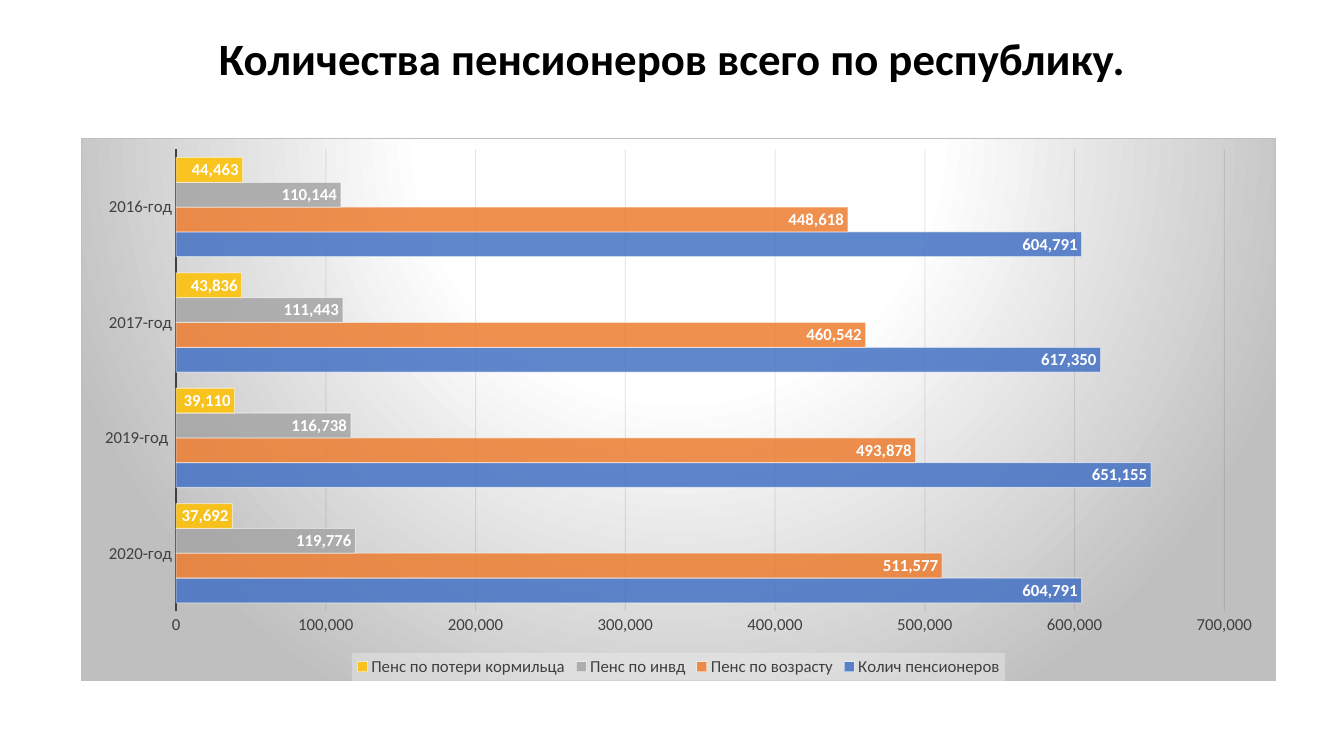
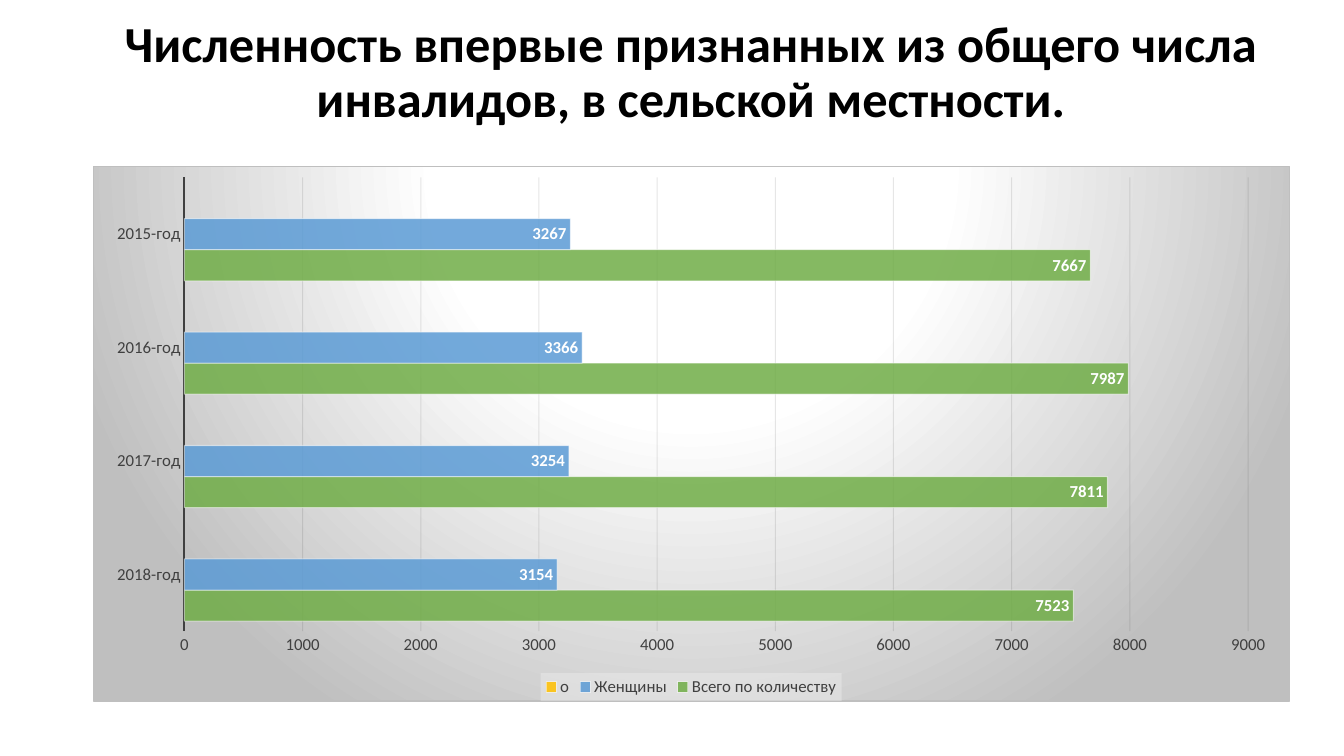
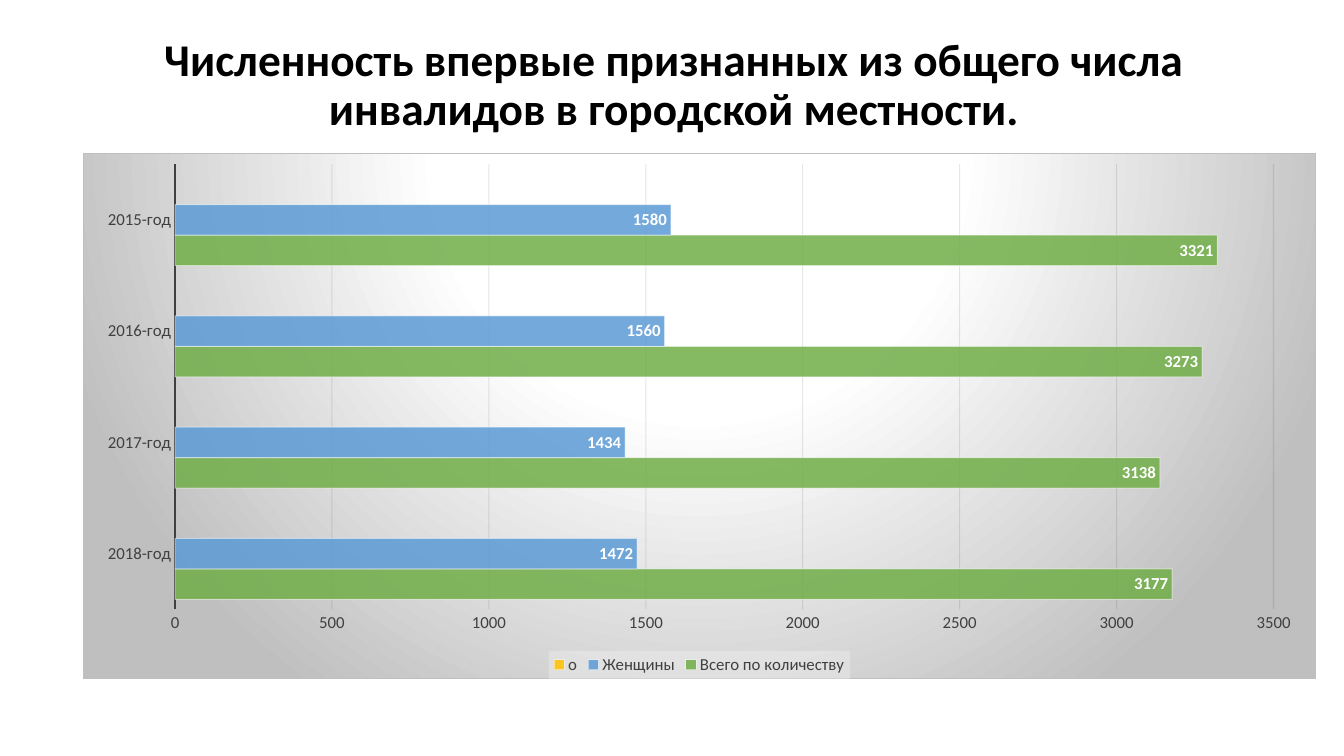
from pptx import Presentation
from pptx.chart.data import CategoryChartData
from pptx.dml.color import RGBColor
from pptx.enum.chart import (
    XL_CHART_TYPE as ChartType,
    XL_LABEL_POSITION as LabelPosition,
    XL_LEGEND_POSITION as LegendPosition,
    XL_TICK_MARK as TickMark,
)
from pptx.enum.text import MSO_ANCHOR, MSO_AUTO_SIZE, PP_ALIGN
from pptx.oxml import parse_xml
from pptx.oxml.ns import nsdecls
from pptx.util import Pt

PX = 9144  # 100 px to the inch
SLIDE_SIZE = (1333, 750)
TITLE_ONLY = 5
FONT = "Calibri"
COLORS = {
    "black": "000000",
    "white": "FFFFFF",
    "text": "404040",
    "grid": "0D0D0D",
    "edge": "BFBFBF",
    "legend": "F2F2F2",
    "blue": "4472C4",
    "orange": "ED7D31",
    "gray": "A5A5A5",
    "gold": "FFC000",
    "green": "70AD47",
    "sky": "5B9BD5",
}
OPACITY = {
    ".//c:ser/c:spPr/a:solidFill/a:srgbClr": 85,
    ".//c:ser/c:spPr/a:ln/a:solidFill/a:srgbClr": 50,
    ".//c:majorGridlines/c:spPr/a:ln/a:solidFill/a:srgbClr": 10,
}
YEARS = ["2018-год", "2017-год", "2016-год", "2015-год"]
NO_VALUES = [None] * len(YEARS)

SLIDES = [
    {
        "title": "Количества пенсионеров всего по республику.",
        "title_size": 32,
        "title_box": (92, 26, 1150, 69),
        "chart_box": (80, 137, 1186, 539),
        "categories": ["2020-год", "2019-год ", "2017-год", "2016-год"],
        "format": "#,##0",
        "scale": (700000, 100000),
        "series": [
            ("Колич пенсионеров", "blue", [604791, 651155, 617350, 604791]),
            ("Пенс по возрасту", "orange", [511577, 493878, 460542, 448618]),
            ("Пенс по инвд", "gray", [119776, 116738, 111443, 110144]),
            ("Пенс по потери кормильца", "gold", [37692, 39110, 43836, 44463]),
        ],
    },
    {
        "title": "Численность впервые признанных из общего числа инвалидов, в сельской местности.",
        "title_size": 36,
        "title_box": (92, 0, 1187, 146),
        "chart_box": (92, 165, 1187, 531),
        "categories": YEARS,
        "format": "General",
        "scale": (9000, 1000),
        "series": [
            ("Всего по количеству", "green", [7523, 7811, 7987, 7667]),
            ("Женщины", "sky", [3154, 3254, 3366, 3267]),
            ("о", "gold", NO_VALUES),
        ],
    },
    {
        "title": "Численность впервые признанных из общего числа инвалидов в городской местности.",
        "title_size": 32.4,
        "title_box": (57, 32, 1223, 108),
        "chart_box": (82, 152, 1223, 522),
        "categories": YEARS,
        "format": "General",
        "scale": (3500, 500),
        "series": [
            ("Всего по количеству", "green", [3177, 3138, 3273, 3321]),
            ("Женщины", "sky", [1472, 1434, 1560, 1580]),
            ("о", "gold", NO_VALUES),
        ],
    },
]


def color(name):
    return RGBColor.from_string(COLORS[name])


def emu(lengths):
    return [length * PX for length in lengths]


def style_font(font, size, color_name, bold=False):
    font.name = FONT
    font.size = Pt(size)
    font.bold = bold
    font.color.rgb = color(color_name)


def style_line(line, color_name, width):
    line.color.rgb = color(color_name)
    line.width = Pt(width)


def add_title(slide, content):
    title = slide.shapes.title
    title.left, title.top, title.width, title.height = emu(content["title_box"])
    frame = title.text_frame
    frame.word_wrap = True
    frame.auto_size = MSO_AUTO_SIZE.NONE
    frame.vertical_anchor = MSO_ANCHOR.MIDDLE
    paragraph = frame.paragraphs[0]
    paragraph.alignment = PP_ALIGN.CENTER
    paragraph.line_spacing = 0.9
    run = paragraph.add_run()
    run.text = content["title"]
    style_font(run.font, content["title_size"], "black", bold=True)


def style_axes(chart, content):
    for axis in (chart.category_axis, chart.value_axis):
        axis.major_tick_mark = axis.minor_tick_mark = TickMark.NONE
        style_font(axis.tick_labels.font, 12, "text")
    chart.category_axis.has_major_gridlines = False
    style_line(chart.category_axis.format.line, "text", 1.5)

    values = chart.value_axis
    values.minimum_scale = 0
    values.maximum_scale, values.major_unit = content["scale"]
    values.tick_labels.number_format = content["format"]
    values.tick_labels.number_format_is_linked = False
    values.format.line.fill.background()
    values.has_major_gridlines = True
    style_line(values.major_gridlines.format.line, "grid", 0.75)


def style_series(series, color_name, number_format):
    series.format.fill.solid()
    series.format.fill.fore_color.rgb = color(color_name)
    style_line(series.format.line, "white", 0.75)
    labels = series.data_labels
    labels.show_value = True
    labels.position = LabelPosition.INSIDE_END
    labels.number_format = number_format
    labels.number_format_is_linked = False
    style_font(labels.font, 12, "white", bold=True)


def add_backgrounds(chart):
    """Fill the chart area with a radial gradient and the legend with a pale veil."""
    stops = "".join(
        f'<a:gs pos="{position * 1000}"><a:srgbClr val="{COLORS[name]}"/></a:gs>'
        for position, name in ((0, "white"), (39, "white"), (100, "edge"))
    )
    area = (
        f"<a:gradFill><a:gsLst>{stops}</a:gsLst><a:path path=\"circle\">"
        '<a:fillToRect l="50000" t="-80000" r="50000" b="180000"/></a:path></a:gradFill>'
        f'<a:ln w="{Pt(0.75)}"><a:solidFill><a:srgbClr val="{COLORS["edge"]}"/></a:solidFill></a:ln>'
    )
    veil = (
        f'<a:solidFill><a:srgbClr val="{COLORS["legend"]}"><a:alpha val="39000"/></a:srgbClr>'
        "</a:solidFill><a:ln><a:noFill/></a:ln>"
    )
    for text_path, fill in (("c:txPr", area), (".//c:legend/c:txPr", veil)):
        text_properties = chart.element.xpath(text_path)[0]
        text_properties.addprevious(
            parse_xml(f'<c:spPr {nsdecls("c", "a")}>{fill}</c:spPr>')
        )


def add_opacity(chart):
    for color_path, percent in OPACITY.items():
        for element in chart.element.xpath(color_path):
            element.append(
                parse_xml(f'<a:alpha {nsdecls("a")} val="{percent * 1000}"/>')
            )


def add_bar_chart(slide, content):
    data = CategoryChartData(number_format=content["format"])
    data.categories = content["categories"]
    for name, _, values in content["series"]:
        data.add_series(name, values)
    chart = slide.shapes.add_chart(
        ChartType.BAR_CLUSTERED, *emu(content["chart_box"]), data
    ).chart
    style_font(chart.font, 10, "black")
    chart.has_title = False
    chart.has_legend = True
    chart.legend.position = LegendPosition.BOTTOM
    chart.legend.include_in_layout = False
    style_font(chart.legend.font, 12, "text")

    plot = chart.plots[0]
    plot.gap_width = 65
    plot.vary_by_categories = False
    for series, (_, color_name, _) in zip(plot.series, content["series"]):
        style_series(series, color_name, content["format"])
    style_axes(chart, content)
    add_backgrounds(chart)
    add_opacity(chart)


def main():
    presentation = Presentation()
    presentation.slide_width, presentation.slide_height = emu(SLIDE_SIZE)
    for content in SLIDES:
        slide = presentation.slides.add_slide(presentation.slide_layouts[TITLE_ONLY])
        add_title(slide, content)
        add_bar_chart(slide, content)
    presentation.save("out.pptx")


if __name__ == "__main__":
    main()
